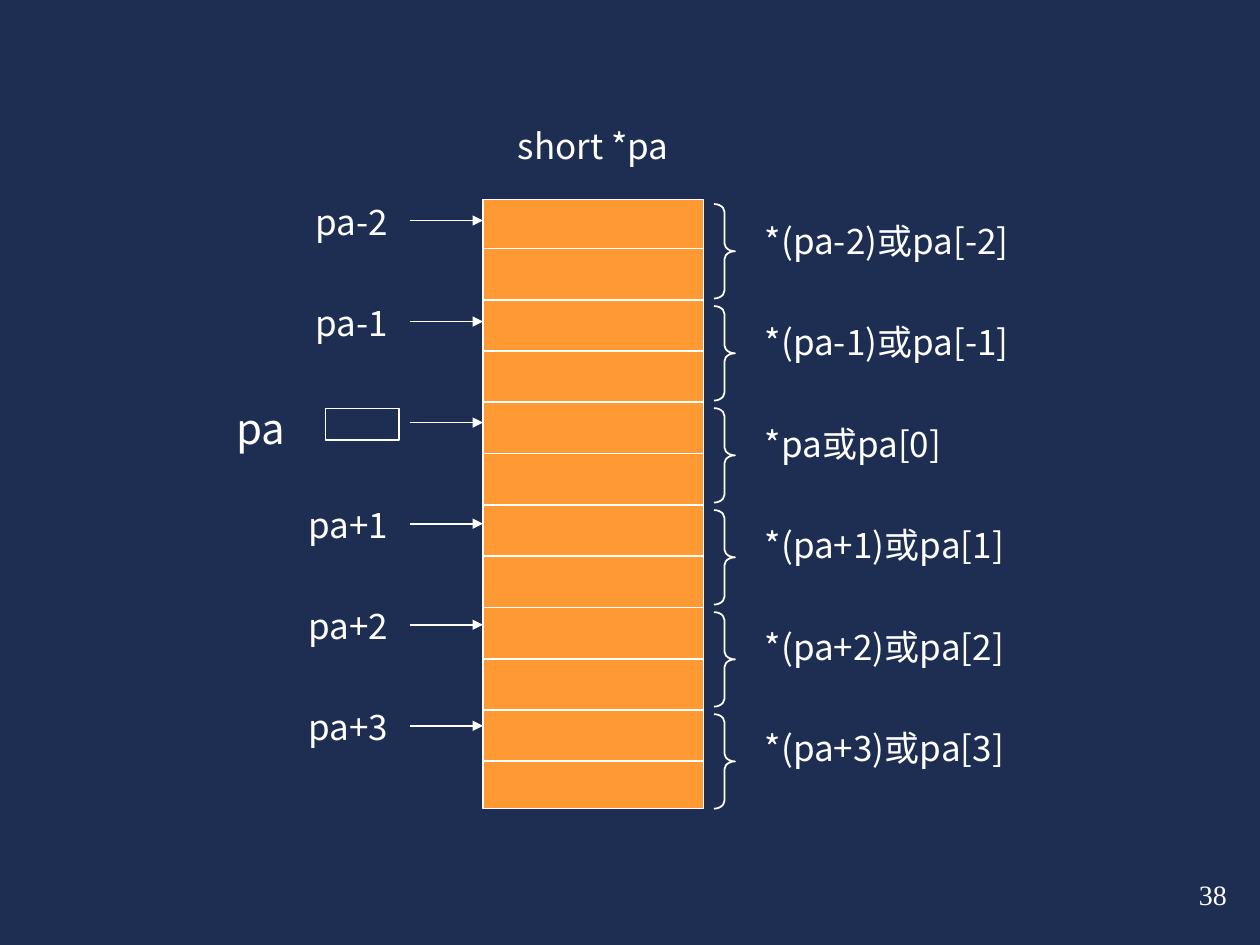
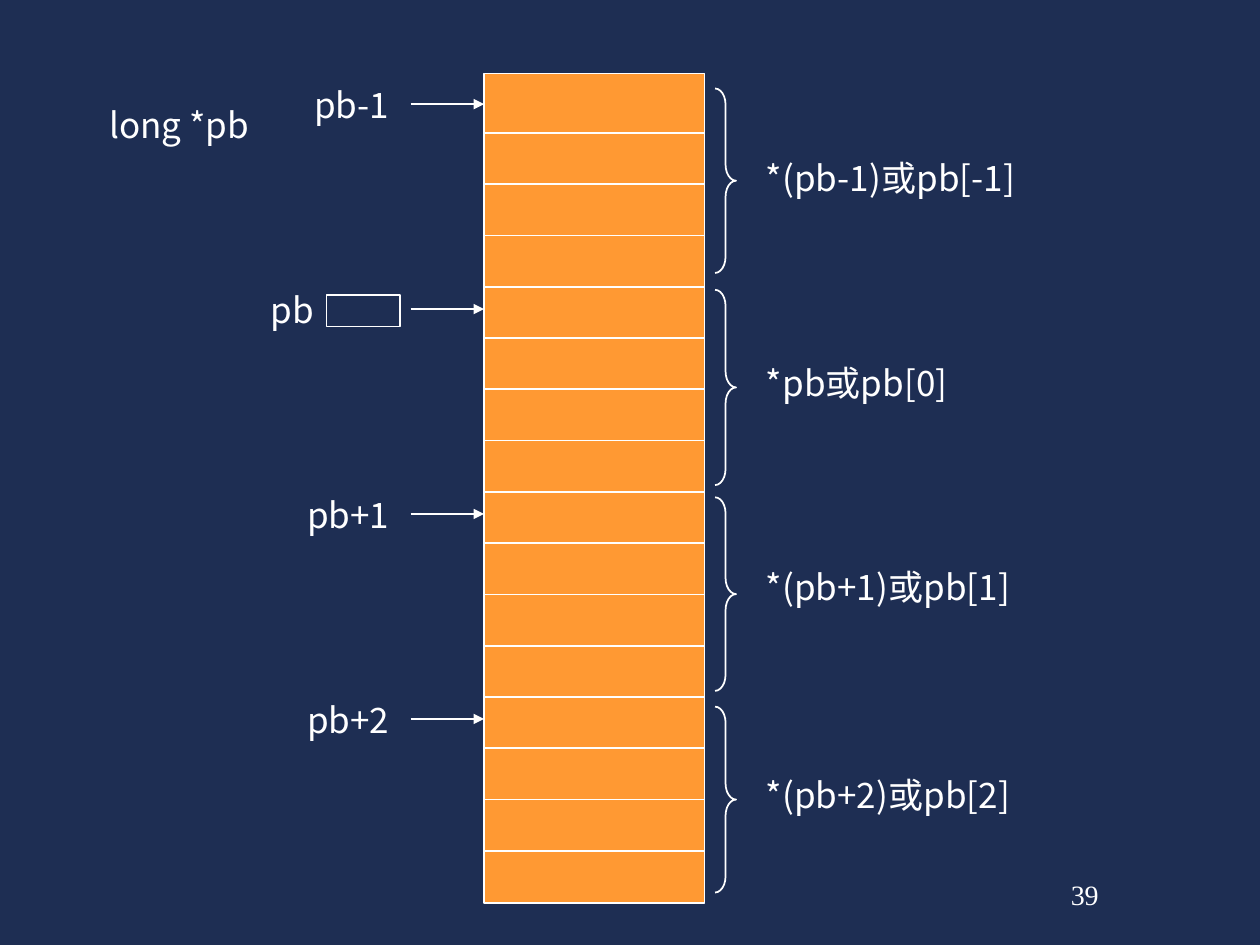
from dataclasses import dataclass

from lxml.etree import SubElement
from pptx import Presentation
from pptx.dml.color import RGBColor
from pptx.enum.shapes import MSO_CONNECTOR as Connector, MSO_SHAPE as Preset
from pptx.enum.text import MSO_ANCHOR as Anchor, MSO_AUTO_SIZE as AutoSize, PP_ALIGN as Align
from pptx.oxml.ns import qn
from pptx.util import Pt

NAVY = RGBColor(0x1E, 0x2E, 0x53)
ORANGE = RGBColor(0xFF, 0x99, 0x33)
WHITE = RGBColor(0xFF, 0xFF, 0xFF)
SANS = "Noto Sans CJK SC"
SERIF = "Times New Roman"

TITLE_ONLY = 5
COLUMN_WIDTH = 126
CELL_STEP = 29.3
ARROW_LENGTH = 42
LABEL_WIDTH = 72
LINE_HEIGHT = 32


@dataclass
class Row:
    """One addressed element: its brace and the text box of its value."""
    label: str
    meaning: str
    brace_top: float
    brace_height: float
    meaning_top: float
    meaning_width: float = 166


@dataclass
class Memory:
    """A column of cells; the pointer points at one of its rows."""
    left: float
    top: float
    height: float
    first_divider: float
    cells: int
    first_arrow: float
    arrow_step: float
    pointer: str
    pointer_size: float
    brace_curve: float
    rows: list


def write(frame, text, size=20, font=SANS, align=Align.LEFT, tight=True):
    """Fill a text frame with one paragraph; tight sets lines 1.2 sizes apart."""
    frame.word_wrap = True
    frame.auto_size = AutoSize.NONE
    frame.vertical_anchor = Anchor.TOP
    frame.margin_left = frame.margin_right = Pt(7.2)
    frame.margin_top = Pt(5 if tight else 3.6)
    frame.margin_bottom = Pt(3.6)
    para = frame.paragraphs[0]
    para.alignment = align
    if tight:
        para.line_spacing = Pt(1.2 * size)
    span = para.add_run()
    span.text = text
    span.font.size = Pt(size)
    span.font.name = font
    span.font.color.rgb = WHITE
    SubElement(span.font._element, qn("a:ea"), typeface=font)


def add_text(page, text, left, top, width, height=LINE_HEIGHT, **style):
    box = page.shapes.add_textbox(Pt(left), Pt(top), Pt(width), Pt(height))
    write(box.text_frame, text, **style)


def add_outline(page, preset, left, top, width, height, fill=None):
    shape = page.shapes.add_shape(preset, Pt(left), Pt(top), Pt(width), Pt(height))
    shape.shadow.inherit = False
    if fill is None:
        shape.fill.background()
    else:
        shape.fill.solid()
        shape.fill.fore_color.rgb = fill
    shape.line.color.rgb = WHITE
    shape.line.width = Pt(1)
    return shape


def add_rule(page, left, y, length, arrow=False):
    """Draw a horizontal line, with an arrowhead at its right end if asked."""
    rule = page.shapes.add_connector(
        Connector.STRAIGHT, Pt(left), Pt(y), Pt(left + length), Pt(y))
    rule.line.color.rgb = WHITE
    rule.line.width = Pt(1)
    if arrow:
        SubElement(rule.line._get_or_add_ln(), qn("a:tailEnd"), type="triangle")
    SubElement(rule._element.spPr, qn("a:effectLst"))


def add_cells(page, memory):
    add_outline(page, Preset.RECTANGLE, memory.left, memory.top,
                COLUMN_WIDTH, memory.height, fill=ORANGE)
    for index in range(memory.cells - 1):
        add_rule(page, memory.left, memory.first_divider + index * CELL_STEP, COLUMN_WIDTH)


def add_addresses(page, memory):
    """Place labels and arrows left of the column, with a box for the pointer."""
    label_right = memory.left - 47
    pointer_left = memory.left - 90
    for index, row in enumerate(memory.rows):
        y = memory.first_arrow + index * memory.arrow_step
        add_rule(page, memory.left - ARROW_LENGTH, y, ARROW_LENGTH, arrow=True)
        is_pointer = row.label == memory.pointer
        right, size = label_right, 20
        if is_pointer:
            add_outline(page, Preset.RECTANGLE, pointer_left, y - 8, 42, 18)
            size = memory.pointer_size
            right = pointer_left - (size - 20) * 4
        add_text(page, row.label, right - LABEL_WIDTH, y - 16.6, LABEL_WIDTH,
                 size=size, align=Align.RIGHT)


def add_meanings(page, memory):
    """Place braces and value expressions right of the column."""
    for row in memory.rows:
        brace = add_outline(page, Preset.RIGHT_BRACE, memory.left + 132,
                            row.brace_top, 12, row.brace_height)
        brace.adjustments[0] = memory.brace_curve
        add_text(page, row.meaning, memory.left + 154, row.meaning_top, row.meaning_width)


def add_memory_page(deck, declaration, title_at, memory, number, number_left):
    page = deck.slides.add_slide(deck.slide_layouts[TITLE_ONLY])
    title = page.shapes.title
    title.left, title.top = (Pt(length) for length in title_at)
    title.width, title.height = Pt(114), Pt(LINE_HEIGHT)
    write(title.text_frame, declaration, align=Align.CENTER)
    add_cells(page, memory)
    add_addresses(page, memory)
    add_meanings(page, memory)
    add_text(page, number, number_left, 498, 42, 27, size=16, font=SERIF, tight=False)


def short_memory():
    texts = [
        ("pa-2", "*(pa-2)或pa[-2]"),
        ("pa-1", "*(pa-1)或pa[-1]"),
        ("pa", "*pa或pa[0]"),
        ("pa+1", "*(pa+1)或pa[1]"),
        ("pa+2", "*(pa+2)或pa[2]"),
        ("pa+3", "*(pa+3)或pa[3]"),
    ]
    rows = [Row(label, meaning, 116.6 + 58.3 * index, 54, 120.2 + 58 * index)
            for index, (label, meaning) in enumerate(texts)]
    return Memory(left=276, top=114, height=348, first_divider=142, cells=12,
                  first_arrow=126, arrow_step=57.75, pointer="pa", pointer_size=24,
                  brace_curve=0.375, rows=rows)


def long_memory():
    rows = [
        Row("pb-1", "*(pb-1)或pb[-1]", 50.6, 105.4, 84.2, 171),
        Row("pb", "*pb或pb[0]", 165.6, 111.6, 201.6, 120),
        Row("pb+1", "*(pb+1)或pb[1]", 284.2, 110.6, 318.2, 166),
        Row("pb+2", "*(pb+2)或pb[2]", 403.8, 106.2, 437, 160),
    ]
    return Memory(left=276.6, top=42, height=474, first_divider=76, cells=16,
                  first_arrow=59.5, arrow_step=117.1, pointer="pb", pointer_size=20,
                  brace_curve=0.77, rows=rows)


def main():
    deck = Presentation()
    deck.slide_width, deck.slide_height = Pt(720), Pt(540)
    backdrop = deck.slide_master.background.fill
    backdrop.solid()
    backdrop.fore_color.rgb = NAVY
    add_memory_page(deck, "short *pa", (282, 66), short_memory(), "38", 678)
    add_memory_page(deck, "long *pb", (45.4, 54), long_memory(), "39", 604.8)
    deck.save("out.pptx")


if __name__ == "__main__":
    main()
